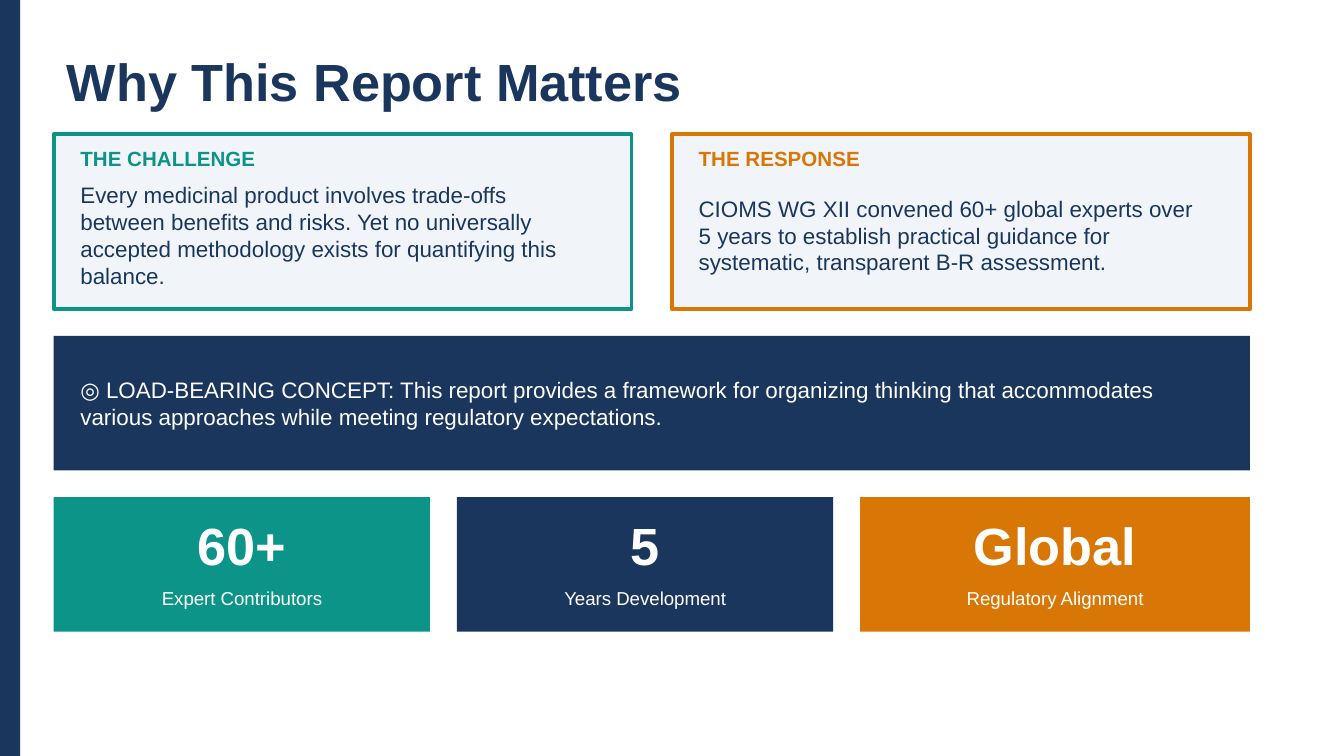
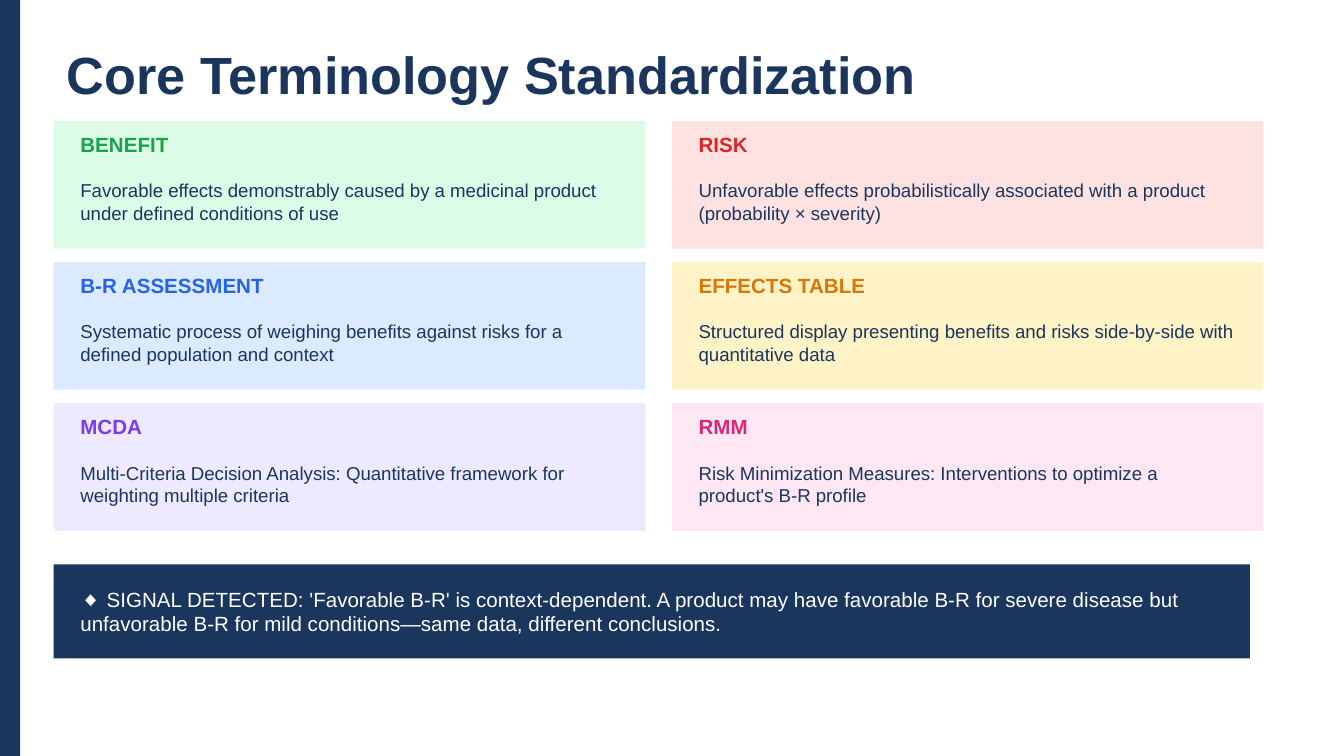
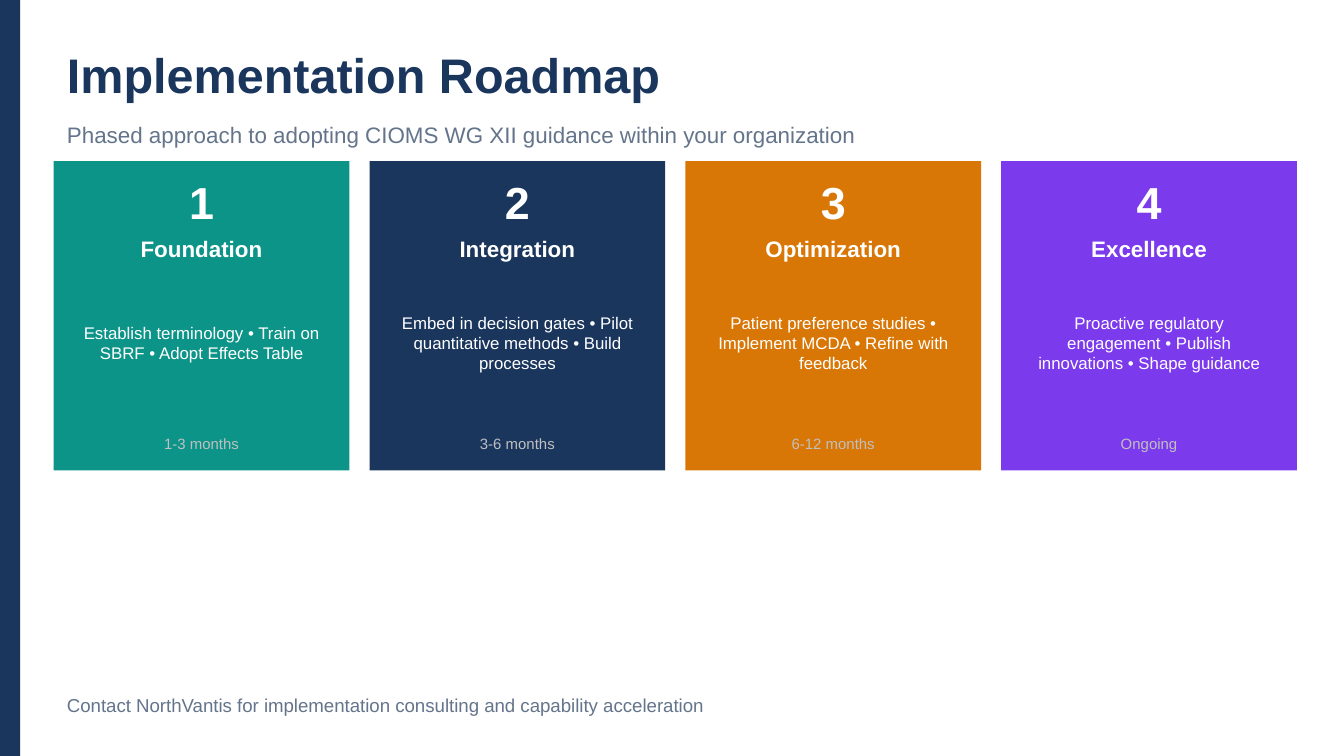
from pptx import Presentation
from pptx.dml.color import RGBColor
from pptx.enum.shapes import MSO_SHAPE
from pptx.enum.text import MSO_ANCHOR, PP_ALIGN
from pptx.util import Inches, Pt


class Theme:
    font = "Arial"
    navy, teal, amber, violet = "1A365D", "0D9488", "D97706", "7C3AED"
    white, pale, slate, silver = "FFFFFF", "F1F5F9", "64748B", "C0C0C0"
    green, mint = "16A34A", "DCFCE7"
    red, blush = "DC2626", "FEE2E2"
    blue, sky = "2563EB", "DBEAFE"
    pink, rose = "DB2777", "FCE7F3"
    cream, lilac = "FEF3C7", "EDE9FE"
    huge, large, step, body, label, small, note, tiny = 28, 26, 24, 12, 11, 10, 9, 8
    edge = 2


deck = Presentation()
deck.slide_width = Inches(10)
deck.slide_height = deck.slide_width * 9 // 16
unit = deck.slide_width // 200
rows = deck.slide_height / unit
left, wide = 8, 180
band = 178


def box(page, x, y, w, h, fill, edge=None):
    shape = page.shapes.add_shape(
        MSO_SHAPE.RECTANGLE, *(int(n * unit) for n in (x, y, w, h)))
    shape.shadow.inherit = False
    shape.fill.solid()
    shape.fill.fore_color.rgb = RGBColor.from_string(fill)
    if edge:
        shape.line.color.rgb = RGBColor.from_string(edge)
        shape.line.width = Pt(Theme.edge)
    else:
        shape.line.fill.background()


def write(page, x, y, w, h, text, size, color, bold=False, align=PP_ALIGN.LEFT):
    frame = page.shapes.add_textbox(*(int(n * unit) for n in (x, y, w, h))).text_frame
    frame.word_wrap = True
    frame.vertical_anchor = MSO_ANCHOR.MIDDLE
    frame.text = text
    line = frame.paragraphs[0]
    line.alignment = align
    font = line.runs[0].font
    font.name = Theme.font
    font.size = Pt(size)
    font.bold = bold
    font.color.rgb = RGBColor.from_string(color)


heads = [
    ("Why This Report Matters", 12, Theme.huge),
    ("Core Terminology Standardization", 10, Theme.huge),
    ("Implementation Roadmap", 10, Theme.large),
]
pages = []
for title, high, size in heads:
    page = deck.slides.add_slide(deck.slide_layouts[6])
    box(page, 0, 0, 3, rows, Theme.navy)
    write(page, left, 6, wide, high, title, size, Theme.navy, True)
    pages.append(page)
why, terms, plan = pages

cards = [
    ("THE CHALLENGE", Theme.teal,
     "Every medicinal product involves trade-offs between benefits and risks. "
     "Yet no universally accepted methodology exists for quantifying this balance."),
    ("THE RESPONSE", Theme.amber,
     "CIOMS WG XII convened 60+ global experts over 5 years to establish "
     "practical guidance for systematic, transparent B-R assessment."),
]
for col, (name, color, text) in enumerate(cards):
    x = left + col * 92
    box(why, x, 20, 86, 26, Theme.pale, color)
    write(why, x + 2, 21, 80, 5, name, Theme.label, color, True)
    write(why, x + 2, 26, 80, 18, text, Theme.body, Theme.navy)

bands = [
    (why, 50, 20, Theme.body,
     "◎ LOAD-BEARING CONCEPT: This report provides a framework for organizing thinking "
     "that accommodates various approaches while meeting regulatory expectations."),
    (terms, 84, 14, Theme.label,
     "◆ SIGNAL DETECTED: 'Favorable B-R' is context-dependent. A product may have "
     "favorable B-R for severe disease but unfavorable B-R for mild conditions—same "
     "data, different conclusions."),
]

facts = [
    ("60+", "Expert Contributors", Theme.teal, 56),
    ("5", "Years Development", Theme.navy, 56),
    ("Global", "Regulatory Alignment", Theme.amber, 58),
]
for col, (value, name, color, w) in enumerate(facts):
    x = left + col * 60
    box(why, x, 74, w, 20, color)
    write(why, x, 76, w, 10, value, Theme.huge, Theme.white, True, PP_ALIGN.CENTER)
    write(why, x, 86, w, 6, name, Theme.small, Theme.white, align=PP_ALIGN.CENTER)

words = [
    ("BENEFIT", Theme.green, Theme.mint,
     "Favorable effects demonstrably caused by a medicinal product under defined "
     "conditions of use"),
    ("RISK", Theme.red, Theme.blush,
     "Unfavorable effects probabilistically associated with a product "
     "(probability × severity)"),
    ("B-R ASSESSMENT", Theme.blue, Theme.sky,
     "Systematic process of weighing benefits against risks for a defined population "
     "and context"),
    ("EFFECTS TABLE", Theme.amber, Theme.cream,
     "Structured display presenting benefits and risks side-by-side with quantitative "
     "data"),
    ("MCDA", Theme.violet, Theme.lilac,
     "Multi-Criteria Decision Analysis: Quantitative framework for weighting multiple "
     "criteria"),
    ("RMM", Theme.pink, Theme.rose,
     "Risk Minimization Measures: Interventions to optimize a product's B-R profile"),
]
for spot, (name, color, fill, text) in enumerate(words):
    row, col = divmod(spot, 2)
    x, y = left + col * 92, 18 + row * 21
    box(terms, x, y, 88, 19, fill)
    write(terms, x + 2, y + 1, 84, 5, name, Theme.label, color, True)
    write(terms, x + 2, y + 6, 84, 12, text, Theme.small, Theme.navy)

for page, y, high, size, text in bands:
    box(page, left, y, band, high, Theme.navy)
    write(page, left + 2, y + 2, band - 4, high - 4, text, size, Theme.white)

write(plan, left, 17, wide, 6,
      "Phased approach to adopting CIOMS WG XII guidance within your organization",
      Theme.body, Theme.slate)
steps = [
    ("Foundation", "Establish terminology • Train on SBRF • Adopt Effects Table",
     "1-3 months", Theme.teal),
    ("Integration", "Embed in decision gates • Pilot quantitative methods • Build processes",
     "3-6 months", Theme.navy),
    ("Optimization", "Patient preference studies • Implement MCDA • Refine with feedback",
     "6-12 months", Theme.amber),
    ("Excellence", "Proactive regulatory engagement • Publish innovations • Shape guidance",
     "Ongoing", Theme.violet),
]
for col, (name, text, time, color) in enumerate(steps):
    x = left + col * 47
    box(plan, x, 24, 44, 46, color)
    lines = [
        (0, 26, 8, str(col + 1), Theme.step, Theme.white, True),
        (0, 34, 6, name, Theme.body, Theme.white, True),
        (2, 41, 20, text, Theme.note, Theme.white, False),
        (0, 64, 4, time, Theme.tiny, Theme.silver, False),
    ]
    for pad, y, high, words, size, ink, bold in lines:
        write(plan, x + pad, y, 44 - 2 * pad, high, words, size, ink, bold,
              PP_ALIGN.CENTER)
write(plan, left, 102, wide, 6,
      "Contact NorthVantis for implementation consulting and capability acceleration",
      Theme.small, Theme.slate)

deck.save("out.pptx")
